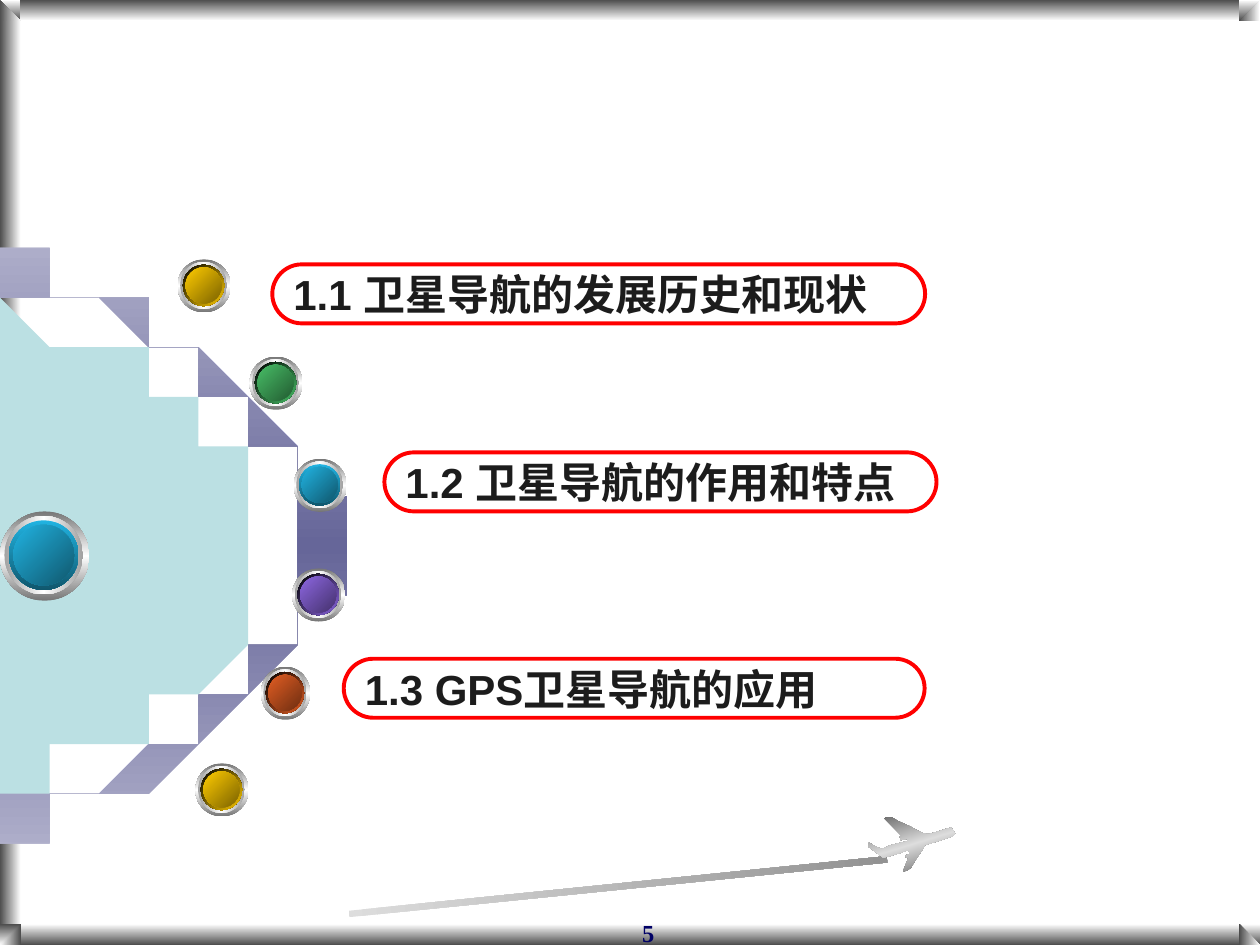
import math
import pptx
import pptx.util
import pptx.dml.color
import pptx.enum.shapes
import pptx.enum.text
import pptx.oxml
import pptx.oxml.ns

Cm = pptx.util.Cm
Pt = pptx.util.Pt
RGB = pptx.dml.color.RGBColor.from_string
MSO = pptx.enum.shapes.MSO_SHAPE
C = {
    "white": "FFFFFF", "dark": "4D4D4D", "black": "000000", "rim": "767676",
    "bevel": "A2A2A2", "steel": "666666", "silver": "DDDDDD", "trail": "929292",
    "lilac": "B9B9D1", "slate": "666699", "lens": "BBE0E3", "red": "FF0000",
    "ink": "1C1C1C", "navy": "000066", "gold": "FFCC00", "gold_lo": "7C6300",
    "green": "48BE67", "green_lo": "235C32", "blue": "21B3E1", "blue_lo": "10576D",
    "purple": "8D67E1", "purple_lo": "45326D", "orange": "E35E23", "orange_lo": "6E2E11",
}


def gradient(sp, names, angle):
    sp.shadow.inherit = False
    sp.line.fill.background()
    sp.fill.gradient()
    grad = sp._element.spPr.find(pptx.oxml.ns.qn("a:gradFill"))
    stops = "".join(
        f'<a:gs pos="{100000 * i // (len(names) - 1)}"><a:srgbClr val="{C[n]}"/></a:gs>'
        for i, n in enumerate(names))
    new = pptx.oxml.parse_xml(
        f'<a:gradFill {pptx.oxml.ns.nsdecls("a")} rotWithShape="1"><a:gsLst>{stops}</a:gsLst>'
        f'<a:lin ang="{angle * 60000}" scaled="0"/></a:gradFill>')
    grad.getparent().replace(grad, new)


def half_ellipse(cx, cy, rx, ry, steps=60):
    angles = [math.pi * (i / steps - 0.5) for i in range(steps + 1)]
    return [(cx + rx * math.cos(a), cy + ry * math.sin(a)) for a in angles]


prs = pptx.Presentation()
prs.slide_width, prs.slide_height = Cm(25.4), Cm(19.05)
s = prs.slides.add_slide(prs.slide_layouts[6])
shapes = s.shapes

edge = 0.42
right, bottom = 25.4 - edge, 19.05 - edge
inward, outward = ("dark", "white"), ("white", "dark")
for x, y, w, h, names, angle in [
    (0, edge, edge, bottom - edge, inward, 0),
    (edge, bottom, right - edge, edge, outward, 90),
    (0, 0, 25.4, edge, inward, 90),
]:
    sp = shapes.add_shape(MSO.RECTANGLE, Cm(x), Cm(y), Cm(w), Cm(h))
    gradient(sp, names, angle)

for x, y, rotation, flips, names, angle in [
    (0, 0, 0, "HV", inward, 90),
    (0, 0, 0, "", inward, 0),
    (right, 0, 0, "H", outward, 0),
    (right, 0, 0, "V", inward, 90),
    (right, bottom, 270, "H", outward, 0),
    (right, bottom, 270, "V", outward, 90),
    (0, bottom, 90, "HV", outward, 90),
    (0, bottom, 90, "", inward, 0),
]:
    sp = shapes.add_shape(MSO.RIGHT_TRIANGLE, Cm(x), Cm(y), Cm(edge), Cm(edge))
    sp.rotation = rotation
    for flip in flips:
        sp._element.spPr.xfrm.set("flip" + flip, "1")
    gradient(sp, names, angle)

sp = shapes.add_shape(MSO.RECTANGLE, Cm(7.01), Cm(17.81), Cm(10.9), Cm(0.13))
sp.rotation = 354.2
gradient(sp, ("silver", "trail"), 0)

plane = [
    (68, 11), (66, 8), (62, 9), (56, 11), (49, 13), (46, 13), (42, 12), (33, 7),
    (24, 3), (19, 0), (14, 0), (13, 1), (15, 3), (20, 8), (27, 15), (25, 15),
    (26, 18), (31, 17), (31, 19), (26, 20), (18, 22), (11, 25), (8, 24), (4, 22),
    (1, 20), (0, 21), (0, 23), (12, 32), (16, 31), (23, 29), (32, 26), (33, 29),
    (30, 30), (30, 32), (32, 32), (28, 42), (28, 43), (31, 42), (34, 40), (38, 33),
    (43, 26), (45, 22), (55, 19), (64, 16), (67, 15), (69, 13),
]
fb = shapes.build_freeform(*plane[0], scale=Cm(2.54) / 100)
fb.add_line_segments(plane[1:], close=True)
gradient(fb.convert_to_shape(Cm(17.5), Cm(16.48)), ("steel", "silver", "steel"), 73)

tb = shapes.add_textbox(Cm(11), Cm(18.39), Cm(2.44), Cm(0.84))
tb.text_frame.word_wrap = True
p = tb.text_frame.paragraphs[0]
p.text = "5"
p.alignment = pptx.enum.text.PP_ALIGN.RIGHT
p.font.name, p.font.size, p.font.bold = "Times New Roman", Pt(14), True
p.font.color.rgb = RGB(C["navy"])

arc = half_ellipse(-6.65, 11.02, 13.26, 6.71) + half_ellipse(-6.65, 11.02, 12.85, 6.5)[::-1]
lens = half_ellipse(-5.46, 11.06, 10.92, 5.59)
curves = []
for points in (arc, lens):
    fb = shapes.build_freeform(*points[0], scale=Cm(1))
    fb.add_line_segments(points[1:], close=True)
    curves.append(fb.convert_to_shape())
gradient(curves[0], ("lilac", "slate", "lilac"), 90)
curves[1].shadow.inherit = False
curves[1].line.fill.background()
curves[1].fill.solid()
curves[1].fill.fore_color.rgb = RGB(C["lens"])

for x, y, w, h, color in [
    (3.58, 5.23, 1.07, 1.07, "gold"),
    (5.03, 7.19, 1.07, 1.07, "green"),
    (5.92, 9.25, 1.07, 1.07, "blue"),
    (5.89, 11.46, 1.07, 1.07, "purple"),
    (5.26, 13.44, 0.99, 1.07, "orange"),
    (3.94, 15.39, 1.07, 1.07, "gold"),
    (0, 10.31, 1.8, 1.8, "blue"),
]:
    face = (color, color + "_lo")
    well = (face, 90) if color == "blue" else (("black", color), 45)
    for inset, size, names, angle in [
        (0, 1, ("rim", "white", "rim"), 90),
        (0.05, 0.88, ("bevel", "white", "bevel"), 0),
        (0.1, 0.78, *well),
        (0.15, 0.68, face, 45),
    ]:
        sp = shapes.add_shape(MSO.OVAL, Cm(x + inset * w), Cm(y + inset * h),
                              Cm(size * w), Cm(size * h))
        gradient(sp, names, angle)

for x, y, w, text in [
    (5.49, 5.33, 13.16, "1.1 卫星导航的发展历史和现状"),
    (7.75, 9.12, 11.13, "1.2 卫星导航的作用和特点"),
    (6.93, 13.28, 11.71, "1.3 GPS卫星导航的应用"),
]:
    sp = shapes.add_shape(MSO.ROUNDED_RECTANGLE, Cm(x), Cm(y), Cm(w), Cm(1.19))
    sp.adjustments[0] = 0.5
    sp.shadow.inherit = False
    sp.fill.background()
    sp.line.color.rgb = RGB(C["red"])
    sp.line.width = Pt(2.25)
    tf = sp.text_frame
    tf.word_wrap = True
    tf.vertical_anchor = pptx.enum.text.MSO_ANCHOR.MIDDLE
    p = tf.paragraphs[0]
    p.text = text
    p.alignment = pptx.enum.text.PP_ALIGN.LEFT
    p.font.name, p.font.size, p.font.bold = "Arial", Pt(24), True
    p.font.color.rgb = RGB(C["ink"])

prs.save("out.pptx")
